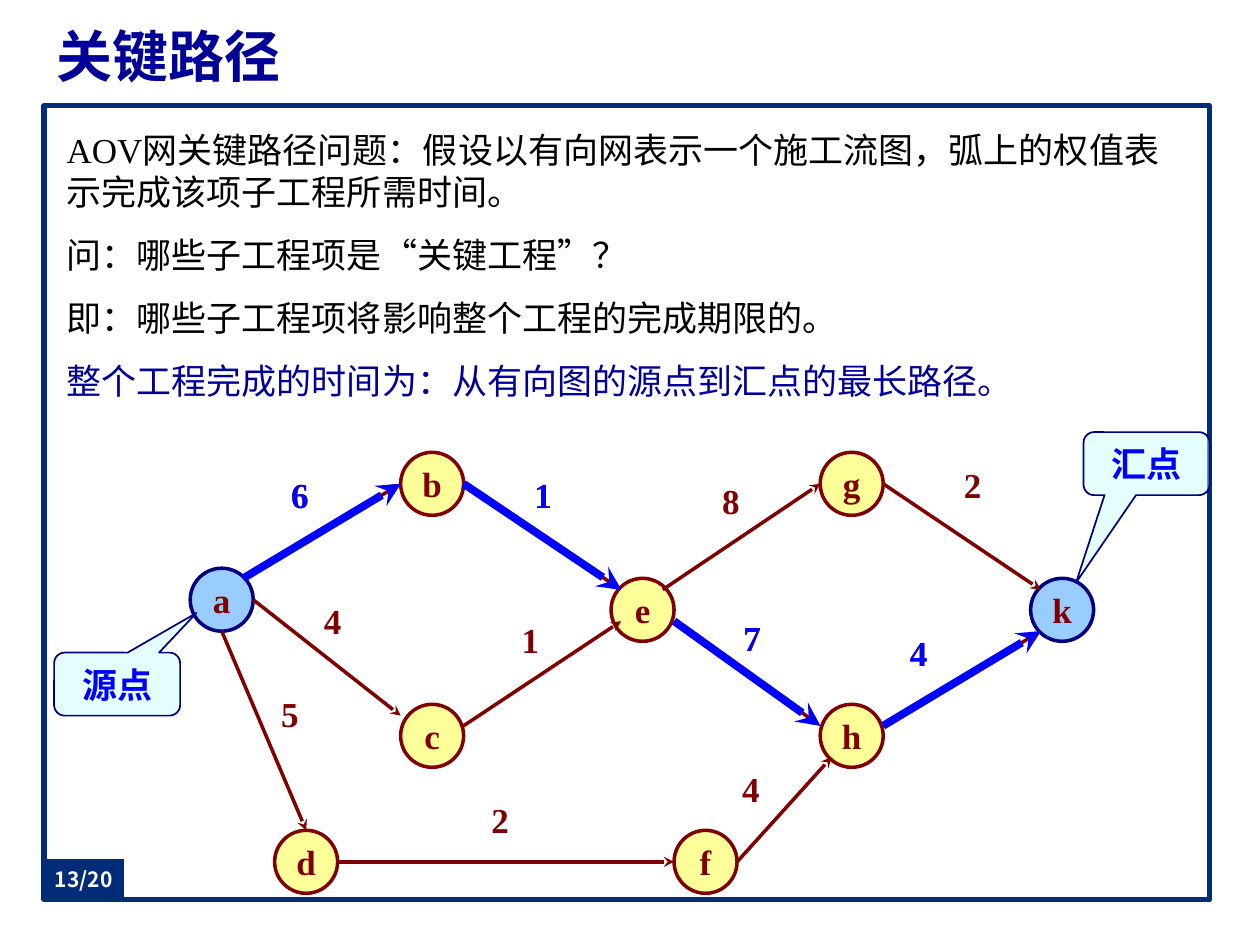
"""Build the slide on the critical path of a directed project network."""
from pptx import Presentation
from pptx.dml.color import RGBColor
from pptx.enum.shapes import MSO_CONNECTOR, MSO_SHAPE
from pptx.enum.text import MSO_ANCHOR, MSO_AUTO_SIZE, PP_ALIGN
from pptx.oxml.xmlchemy import OxmlElement
from pptx.util import Inches, Pt

COLORS = {
    "frame": "012D78", "badge line": "032C75", "white": "FFFFFF", "black": "000000",
    "title": "000099", "maroon": "800000", "navy": "000080", "blue": "0000FF",
    "yellow": "FFFF99", "sky": "99CCFF", "pale": "CCFFFF",
}
COLORS = {name: RGBColor.from_string(value) for name, value in COLORS.items()}
SERIF, SANS = "Times New Roman", "Noto Sans CJK SC"


def write(para, text, color, **changes):
    span = para.add_run()
    span.text = text
    formats = {"name": SERIF, "size": Pt(20), "bold": True, **changes}
    for name, value in formats.items():
        setattr(span.font, name, value)
    span.font.color.rgb = COLORS[color]
    east_asian = OxmlElement("a:ea")
    east_asian.set("typeface", SANS)
    span.font._element.append(east_asian)


def add_box(kind, place, fill, line, width):
    box = page.shapes.add_shape(kind, *map(Inches, place))
    box.shadow.inherit = False
    box.fill.solid()
    box.fill.fore_color.rgb = COLORS[fill]
    box.line.color.rgb = COLORS[line]
    box.line.width = Pt(width)
    box.text_frame.word_wrap = False
    box.text_frame.vertical_anchor = MSO_ANCHOR.MIDDLE
    box.text_frame.paragraphs[0].alignment = PP_ALIGN.CENTER
    return box


deck = Presentation()
deck.slide_width, deck.slide_height = Inches(10), Inches(7.5)
page = deck.slides.add_slide(deck.slide_layouts[5])

add_box(MSO_SHAPE.RECTANGLE, (0.35, 0.84, 9.25, 6.3), "white", "frame", 3)

title = page.shapes.title
title.left, title.top, title.width, title.height = map(Inches, (0.35, 0.13, 9.25, 0.62))
title.text_frame.auto_size = MSO_AUTO_SIZE.NONE
title.text_frame.vertical_anchor = MSO_ANCHOR.MIDDLE
title.text_frame.paragraphs[0].alignment = PP_ALIGN.JUSTIFY
write(title.text_frame.paragraphs[0], "关键路径", "title", size=Pt(32))

body = page.shapes.add_textbox(*map(Inches, (0.43, 0.92, 9.06, 6.14))).text_frame
body.word_wrap = True
for side in ("left", "top", "right", "bottom"):
    setattr(body, f"margin_{side}", Inches(0.1))
statements = [
    ("AOV网关键路径问题：假设以有向网表示一个施工流图，弧上的权值表示完成该项子工程所需时间。", "black"),
    ("问：哪些子工程项是“关键工程”？", "black"),
    ("即：哪些子工程项将影响整个工程的完成期限的。", "black"),
    ("整个工程完成的时间为：从有向图的源点到汇点的最长路径。", "title"),
]
for index, (text, color) in enumerate(statements):
    para = body.paragraphs[0] if index == 0 else body.add_paragraph()
    para.space_before = Pt(6 if index else 0)
    para.space_after = Pt(6)
    para.line_spacing = Pt(24)
    write(para, text, color, bold=False)

nodes = {
    "a": (1.51, 4.51), "b": (3.18, 3.59), "c": (3.18, 5.59),
    "d": (2.18, 6.59), "e": (4.85, 4.59), "f": (5.35, 6.59),
    "g": (6.51, 3.59), "h": (6.51, 5.59), "k": (8.18, 4.59),
}
for name, corner in nodes.items():
    fill, line = ("sky", "navy") if name in "ak" else ("yellow", "maroon")
    node = add_box(MSO_SHAPE.OVAL, (*corner, 0.5, 0.5), fill, line, 2)
    write(node.text_frame.paragraphs[0], name, "maroon")

critical = [
    ((1.93, 4.59), (3.18, 3.84), "6", (2.17, 3.71)),
    ((3.68, 3.84), (4.93, 4.68), "1", (4.1, 3.71)),
    ((5.35, 4.93), (6.51, 5.76), "7", (5.76, 4.84)),
    ((7.01, 5.76), (8.26, 5.01), "4", (7.08, 4.96)),
]
ordinary = [
    ((2.01, 4.76), (3.18, 5.68), "4", (2.43, 4.71)),
    ((3.68, 5.76), (4.93, 4.93), "1", (4, 4.86)),
    ((5.26, 4.68), (6.51, 3.84), "8", (5.59, 3.76)),
    ((7.01, 3.84), (8.26, 4.68), "2", (7.51, 3.63)),
    ((1.76, 5.01), (2.43, 6.59), "5", (2.09, 5.45)),
    ((2.68, 6.84), (5.35, 6.84), "2", (3.76, 6.29)),
    ((5.85, 6.84), (6.6, 6.01), "4", (5.75, 6.04)),
]
for edges, color, width in ((critical + ordinary, "maroon", 2), (critical, "blue", 4.5)):
    for start, end, weight, corner in edges:
        arrow = page.shapes.add_connector(MSO_CONNECTOR.STRAIGHT, *map(Inches, start + end))
        arrow.line.color.rgb = COLORS[color]
        arrow.line.width = Pt(width)
        head = OxmlElement("a:tailEnd")
        head.set("type", "stealth")
        arrow.line._get_or_add_ln().append(head)
        arrow._element.spPr.append(OxmlElement("a:effectLst"))
    for start, end, weight, corner in edges:
        label = page.shapes.add_textbox(*map(Inches, (*corner, 0.42, 0.63))).text_frame
        label.word_wrap = False
        label.paragraphs[0].alignment = PP_ALIGN.CENTER
        write(label.paragraphs[0], weight, color)

callouts = [
    ("源点", (0.43, 5.18), (0.63, -1.13)),
    ("汇点", (8.6, 3.43), (-0.56, 1.89)),
]
for text, corner, tip in callouts:
    callout = add_box(MSO_SHAPE.ROUNDED_RECTANGULAR_CALLOUT, (*corner, 1, 0.5), "pale", "navy", 1)
    callout.adjustments[0], callout.adjustments[1] = tip
    alpha = OxmlElement("a:alpha")
    alpha.set("val", "50000")
    callout.fill._xPr.solidFill.srgbClr.append(alpha)
    write(callout.text_frame.paragraphs[0], text, "blue")

badge = add_box(MSO_SHAPE.RECTANGLE, (0.35, 6.82, 0.63, 0.31), "frame", "badge line", 0.75)
for side in ("left", "top", "right", "bottom"):
    setattr(badge.text_frame, f"margin_{side}", Inches(0))
write(badge.text_frame.paragraphs[0], "13/20", "white", name=SANS, size=Pt(12))

deck.save("out.pptx")
